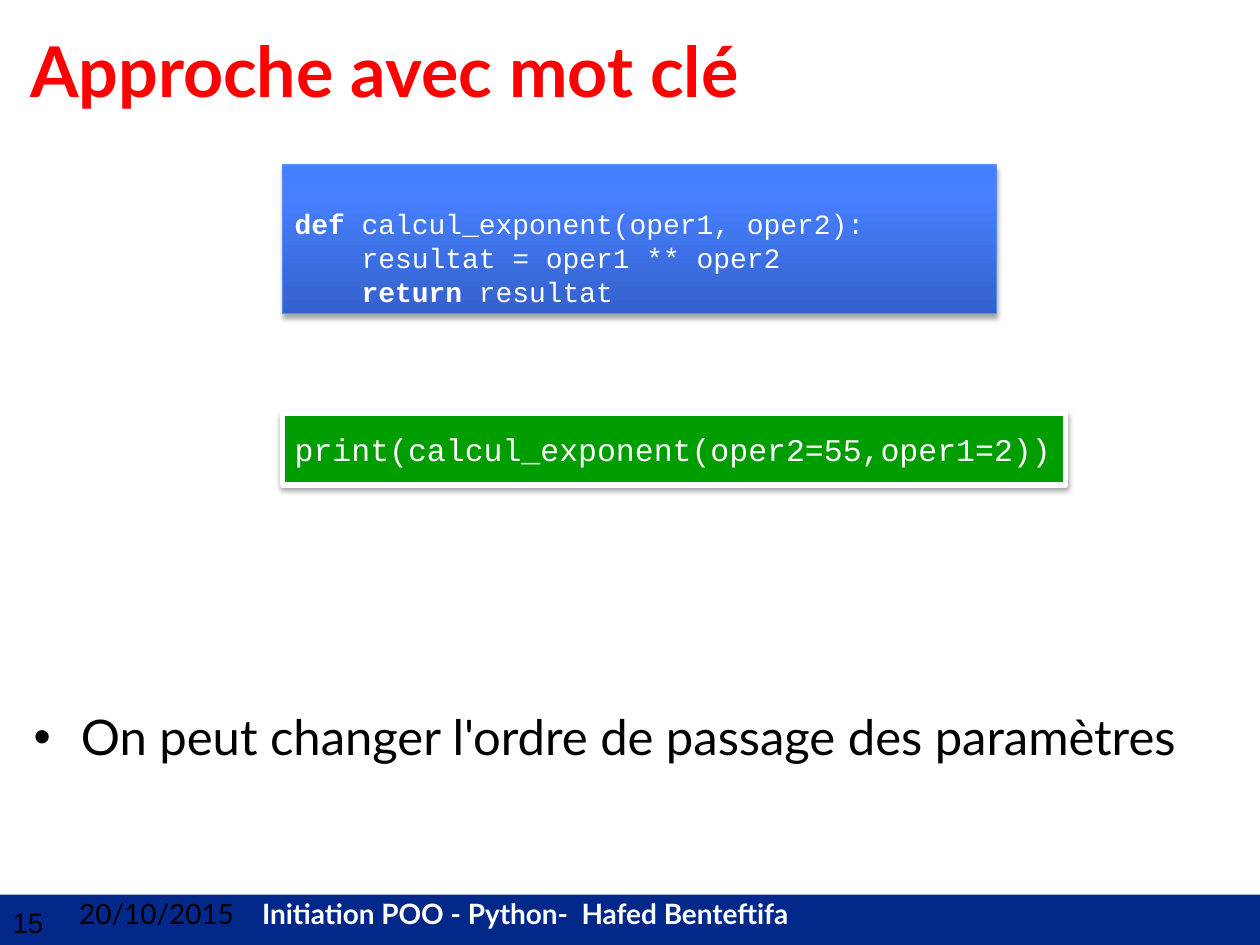
from copy import deepcopy

from lxml import etree
from pptx import Presentation
from pptx.dml.color import RGBColor
from pptx.enum import shapes, text
from pptx.oxml import ns
from pptx.util import Pt

BLACK = RGBColor(0x00, 0x00, 0x00)
WHITE = RGBColor(0xFF, 0xFF, 0xFF)
RED = RGBColor(0xFF, 0x00, 0x00)
GREEN = RGBColor(0x00, 0x9D, 0x00)
NAVY = RGBColor(0x02, 0x29, 0x8A)
EDGE_BLUE = RGBColor(0x5A, 0x89, 0xFA)
GRADIENT = [
    (0, RGBColor(0x35, 0x61, 0xCB)),
    (0.8, RGBColor(0x46, 0x80, 0xFF)),
    (1, RGBColor(0x43, 0x80, 0xFF)),
]


def write(para, pieces, font, size):
    """Add runs given as (wording, colour, bold)."""
    for wording, colour, bold in pieces:
        span = para.add_run()
        span.text = wording
        span.font.name = font
        span.font.size = Pt(size)
        span.font.color.rgb = colour
        span.font.bold = bold


def add_element(parent, tag, **attributes):
    return etree.SubElement(parent, ns.qn(tag), attributes)


deck = Presentation()
deck.slide_width, deck.slide_height = Pt(720), Pt(540)
page = deck.slides.add_slide(deck.slide_layouts[6])

# Footer band
band = page.shapes.add_shape(shapes.MSO_SHAPE.RECTANGLE, Pt(0), Pt(511.2), Pt(720), Pt(28.8))
band.shadow.inherit = False
band.fill.solid()
band.fill.fore_color.rgb = NAVY
band.line.fill.background()

# Text boxes: place, font, size, pieces
labels = [
    ((0, 514.1, 41.8, 45.4), "Arial", 16, [("15", BLACK, False)]),
    ((38.2, 509, 681.8, 46.1), "Lato", 16,
     [("20/10/2015\t", BLACK, False),
      ("Initiation POO - Python-  Hafed Benteftifa", WHITE, True)]),
    ((10.1, 12.2, 697, 67), "Lato", 40, [("Approche avec mot clé", RED, True)]),
    ((12.2, 400.3, 696.2, 82.1), "Lato", 28,
     [("On peut changer l'ordre de passage des paramètres", BLACK, False)]),
]
boxes = []
for place, font, size, pieces in labels:
    box = page.shapes.add_textbox(*map(Pt, place))
    box.text_frame.word_wrap = True
    write(box.text_frame.paragraphs[0], pieces, font, size)
    boxes.append(box)
number, footer, title, body = boxes

# Tab stop between the date and the course name
footer_format = footer.text_frame.paragraphs[0]._p.get_or_add_pPr()
add_element(add_element(footer_format, "a:tabLst"), "a:tab", pos=str(Pt(104.5)), algn="l")

# Bullet with a hanging indent
body_format = body.text_frame.paragraphs[0]._p.get_or_add_pPr()
body_format.set("marL", str(Pt(27)))
body_format.set("indent", str(Pt(-27)))
add_element(body_format, "a:buFont", typeface="Arial")
add_element(body_format, "a:buChar", char="•")

# Code panels: place, size, edge colour and width, shadow opacity and distance, lines
definition = [
    [("def ", WHITE, True), ("calcul_exponent(oper1, oper2):", WHITE, False)],
    [("    resultat = oper1 ** oper2", WHITE, False)],
    [("    ", WHITE, False), ("return ", WHITE, True), ("resultat", WHITE, False)],
]
call = [[("print(calcul_exponent(oper2=55,oper1=2))", WHITE, False)]]
panels = []
for place, size, edge, width, opacity, distance, lines in [
    ((161.3, 94.3, 408.2, 85), 16, EDGE_BLUE, 0.75, 35, 1.8, definition),
    ((161.3, 236.2, 447.8, 41), 18, WHITE, 3, 37, 1.6, call),
]:
    panel = page.shapes.add_shape(shapes.MSO_SHAPE.RECTANGLE, *map(Pt, place))
    panel.line.color.rgb = edge
    panel.line.width = Pt(width)
    panel.shadow.inherit = False
    effects = panel._element.spPr.find(ns.qn("a:effectLst"))
    shadow = add_element(effects, "a:outerShdw", blurRad=str(Pt(3.1)), dist=str(Pt(distance)),
                         dir="5400000", rotWithShape="0")
    add_element(add_element(shadow, "a:srgbClr", val=str(BLACK)), "a:alpha", val=str(opacity * 1000))

    frame = panel.text_frame
    frame.word_wrap = True
    frame.vertical_anchor = text.MSO_ANCHOR.MIDDLE
    for index, pieces in enumerate(lines):
        para = frame.add_paragraph() if index else frame.paragraphs[0]
        para.alignment = text.PP_ALIGN.LEFT
        write(para, pieces, "Courier New", size)
    panels.append(panel)
definition_panel, call_panel = panels

# The definition sits low in a panel shaded from bottom to top
definition_panel.text_frame.vertical_anchor = text.MSO_ANCHOR.BOTTOM
definition_panel.fill.gradient()
definition_panel.fill.gradient_angle = 90
stop_list = definition_panel._element.spPr.find(".//" + ns.qn("a:gsLst"))
stop_list.append(deepcopy(stop_list[-1]))
for stop, (position, colour) in zip(definition_panel.fill.gradient_stops, GRADIENT):
    stop.position = position
    stop.color.rgb = colour

call_panel.fill.solid()
call_panel.fill.fore_color.rgb = GREEN

deck.save("out.pptx")
